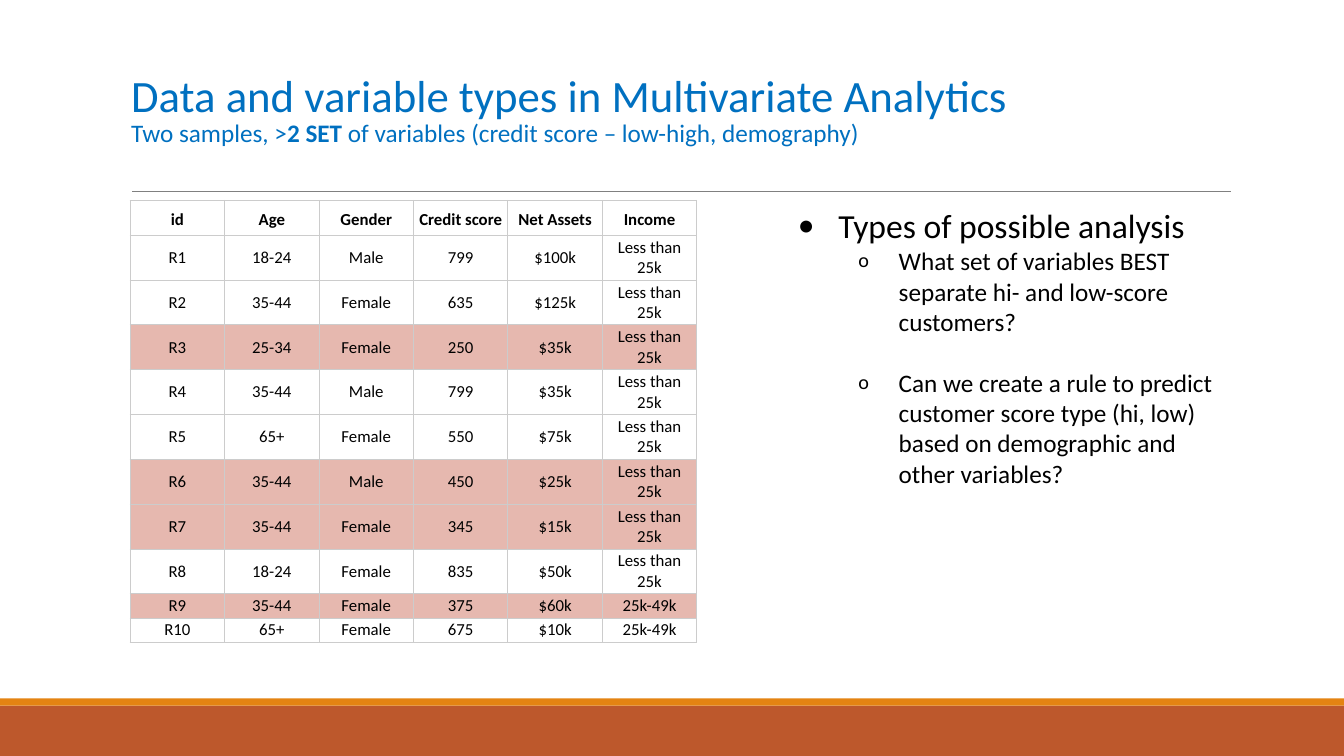
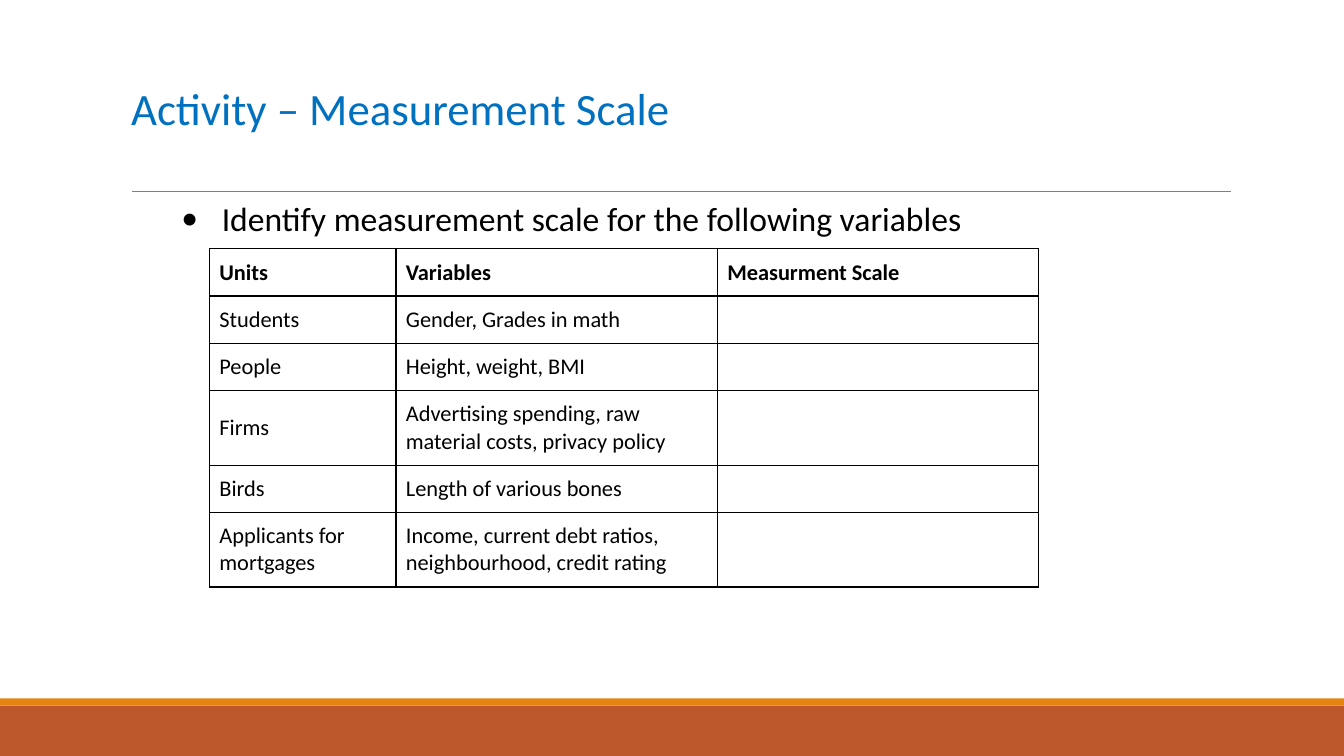
import lxml.etree
import pptx
import pptx.dml.color
import pptx.enum.shapes
import pptx.enum.text
import pptx.oxml.ns
import pptx.util

Cm = pptx.util.Cm
Pt = pptx.util.Pt
qn = pptx.oxml.ns.qn
rgb = pptx.dml.color.RGBColor.from_string


class Theme:
    font = "Calibri"
    title_color = "0070C0"
    text_color = "000000"
    band_color = "BD582C"
    accent_color = "E48312"
    rule_color = "808080"
    grid_color = "CCCCCC"
    low_score_fill = "E6B8AF"
    title_size = 32
    subtitle_size = 18
    bullet_size = 24
    sub_bullet_size = 18
    data_size = 12
    activity_size = 16


def add_bullets(slide, left, top, width, height, items):
    """Add a bulleted text box; items are (level, text, space before in points)."""
    frame = slide.shapes.add_textbox(Cm(left), Cm(top), Cm(width), Cm(height)).text_frame
    frame.word_wrap = True
    frame.margin_left = frame.margin_right = 0
    for index, (level, text, space_before) in enumerate(items):
        paragraph = frame.paragraphs[0] if index == 0 else frame.add_paragraph()
        paragraph.text = text
        paragraph.level = level
        paragraph.space_before = Pt(space_before)
        font = paragraph.runs[0].font
        font.name = Theme.font
        font.size = Pt((Theme.bullet_size, Theme.sub_bullet_size)[level])
        font.color.rgb = rgb(Theme.text_color)
        properties = paragraph.runs[0]._r.getparent().get_or_add_pPr()
        properties.set("marL", str(Cm((2.54, 4.06)[level])))
        properties.set("indent", str(-Cm(1.02)))
        if level:
            lxml.etree.SubElement(properties, qn("a:buSzPct"), val="80000")
        lxml.etree.SubElement(properties, qn("a:buFont"), typeface=Theme.font)
        lxml.etree.SubElement(properties, qn("a:buChar"), char="•o"[level])


def add_grid(slide, left, top, widths, heights, rows, size, margins, border,
             alignment, header_spacing=1.0, marked_rows=()):
    """Add a plain bordered table with a bold header row."""
    table = slide.shapes.add_table(
        len(rows), len(widths), Cm(left), Cm(top), Cm(sum(widths)), Cm(sum(heights))).table
    table.horz_banding = False
    for column, width in zip(table.columns, widths):
        column.width = Cm(width)
    for row_index, values in enumerate(rows):
        table.rows[row_index].height = Cm(heights[row_index])
        for column_index, value in enumerate(values):
            cell = table.cell(row_index, column_index)
            cell.vertical_anchor = pptx.enum.text.MSO_ANCHOR.MIDDLE
            cell.margin_left = cell.margin_right = Cm(margins[0])
            cell.margin_top = cell.margin_bottom = Cm(margins[1])
            if values[0] in marked_rows:
                cell.fill.solid()
                cell.fill.fore_color.rgb = rgb(Theme.low_score_fill)
            else:
                cell.fill.background()

            paragraph = cell.text_frame.paragraphs[0]
            paragraph.alignment = alignment
            if row_index == 0:
                paragraph.line_spacing = header_spacing
            if value:
                paragraph.text = value
                font = paragraph.runs[0].font
                font.name = Theme.font
                font.size = Pt(size)
                font.bold = row_index == 0
                font.color.rgb = rgb(Theme.text_color)
            else:
                lxml.etree.SubElement(paragraph._p, qn("a:endParaRPr"), sz=str(size * 100))

            # Cell borders come before the fill
            properties = cell._tc.get_or_add_tcPr()
            border_color, border_width = border
            for position, side in enumerate(("a:lnL", "a:lnR", "a:lnT", "a:lnB")):
                line = lxml.etree.Element(qn(side), w=str(Pt(border_width)))
                fill = lxml.etree.SubElement(line, qn("a:solidFill"))
                lxml.etree.SubElement(fill, qn("a:srgbClr"), val=border_color)
                properties.insert(position, line)


presentation = pptx.Presentation()
presentation.slide_width = Cm(33.87)
presentation.slide_height = Cm(19.05)
layout = presentation.slide_layouts[5]

# Shared title style
title_style = presentation.slide_master.element.find(".//" + qn("p:titleStyle") + "/" + qn("a:lvl1pPr"))
title_style.set("algn", "l")
line_spacing = lxml.etree.Element(qn("a:lnSpc"))
lxml.etree.SubElement(line_spacing, qn("a:spcPct"), val="85000")
title_style.insert(0, line_spacing)
title_font = title_style.find(qn("a:defRPr"))
title_font.set("sz", str(Theme.title_size * 100))
title_fill = title_font.find(qn("a:solidFill"))
title_fill.clear()
lxml.etree.SubElement(title_fill, qn("a:srgbClr"), val=Theme.title_color)

# Shared title place
layout_title = layout.placeholders[0]
layout_title.left, layout_title.top = Cm(3.05), Cm(0.79)
layout_title.width, layout_title.height = Cm(27.94), Cm(4.04)

data_slide = presentation.slides.add_slide(layout)
activity_slide = presentation.slides.add_slide(layout)

# Shared bands and title rule, moved to the layout behind its placeholders
decorations = []
for top, height, color in ((17.78, 1.27, Theme.band_color), (17.6, 0.18, Theme.accent_color)):
    band = data_slide.shapes.add_shape(
        pptx.enum.shapes.MSO_SHAPE.RECTANGLE, 0, Cm(top), presentation.slide_width, Cm(height))
    band.shadow.inherit = False
    band.fill.solid()
    band.fill.fore_color.rgb = rgb(color)
    band.line.fill.background()
    decorations.append(band)
rule = data_slide.shapes.add_connector(
    pptx.enum.shapes.MSO_CONNECTOR.STRAIGHT, Cm(3.33), Cm(4.83), Cm(31.01), Cm(4.83))
rule.line.color.rgb = rgb(Theme.rule_color)
rule.line.width = Pt(0.5)
lxml.etree.SubElement(rule.element.spPr, qn("a:effectLst"))
decorations.append(rule)
for index, shape in enumerate(decorations):
    shape.element.find(".//" + qn("p:cNvPr")).set("id", str(101 + index))
    layout.shapes.element.insert(2 + index, shape.element)

# Slide 1: title with subtitle line
title_paragraph = data_slide.shapes.title.text_frame.paragraphs[0]
title_paragraph.text = "Data and variable types in Multivariate Analytics\v"
for text, bold in (("Two samples, >", False), ("2 SET ", True),
                   ("of variables (credit score – low-high, demography)", False)):
    run = title_paragraph.add_run()
    run.text = text
    run.font.size = Pt(Theme.subtitle_size)
    run.font.bold = bold

# Slide 1: kinds of analysis
add_bullets(data_slide, 18.59, 5.05, 12.55, 10.97, [
    (0, "Types of possible analysis", 0),
    (1, "What set of variables BEST separate hi- and low-score customers?", 0),
    (1, "Can we create a rule to predict customer score type (hi, low) based on "
        "demographic and other variables?", 22),
])

# Slide 1: customer data, low scores marked
customers = [
    ("id", "Age", "Gender", "Credit score", "Net Assets", "Income"),
    ("R1", "18-24", "Male", "799", "$100k", "Less than 25k"),
    ("R2", "35-44", "Female", "635", "$125k", "Less than 25k"),
    ("R3", "25-34", "Female", "250", "$35k", "Less than 25k"),
    ("R4", "35-44", "Male", "799", "$35k", "Less than 25k"),
    ("R5", "65+", "Female", "550", "$75k", "Less than 25k"),
    ("R6", "35-44", "Male", "450", "$25k", "Less than 25k"),
    ("R7", "35-44", "Female", "345", "$15k", "Less than 25k"),
    ("R8", "18-24", "Female", "835", "$50k", "Less than 25k"),
    ("R9", "35-44", "Female", "375", "$60k", "25k-49k"),
    ("R10", "65+", "Female", "675", "$10k", "25k-49k"),
]
add_grid(data_slide, 3.28, 5.05, [2.38] * 6, [0.88] + [1.13] * 8 + [0.61] * 2, customers,
         Theme.data_size, (0.08, 0.05), (Theme.grid_color, 0.75),
         pptx.enum.text.PP_ALIGN.CENTER, header_spacing=1.15,
         marked_rows=("R3", "R6", "R7", "R9"))

# Slide 2: title, task and table to fill in
activity_slide.shapes.title.text_frame.text = "Activity – Measurement Scale"
add_bullets(activity_slide, 3.05, 4.85, 27.94, 1.22, [
    (0, "Identify measurement scale for the following variables", 0),
])
variables = [
    ("Units", "Variables", "Measurment Scale"),
    ("Students", "Gender, Grades in math", ""),
    ("People", "Height, weight, BMI", ""),
    ("Firms", "Advertising spending, raw material costs, privacy policy", ""),
    ("Birds", "Length of various bones", ""),
    ("Applicants for mortgages", "Income, current debt ratios, neighbourhood, credit rating", ""),
]
add_grid(activity_slide, 5.28, 6.27, [4.7, 8.1, 8.1], [1.19, 1.19, 1.19, 1.88, 1.19, 1.88],
         variables, Theme.activity_size, (0.25, 0.25), (Theme.text_color, 1),
         pptx.enum.text.PP_ALIGN.LEFT)

presentation.save("out.pptx")
